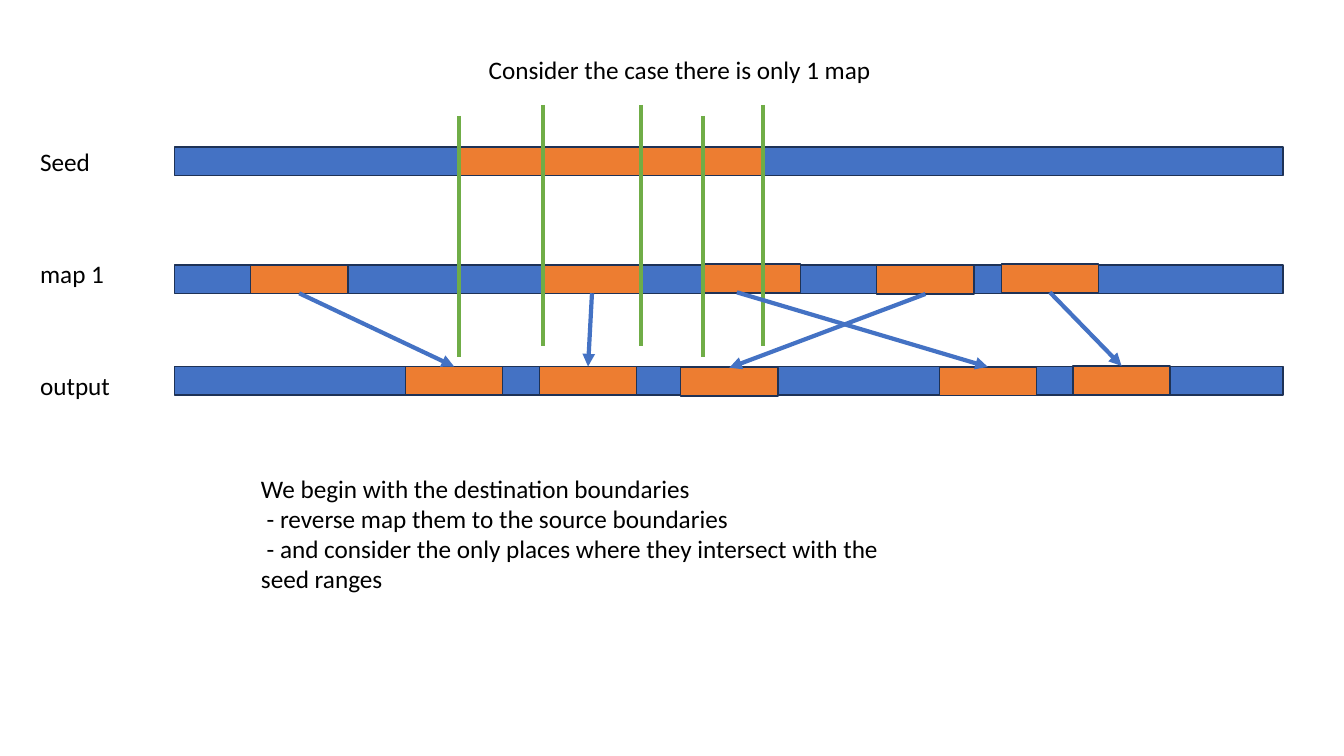
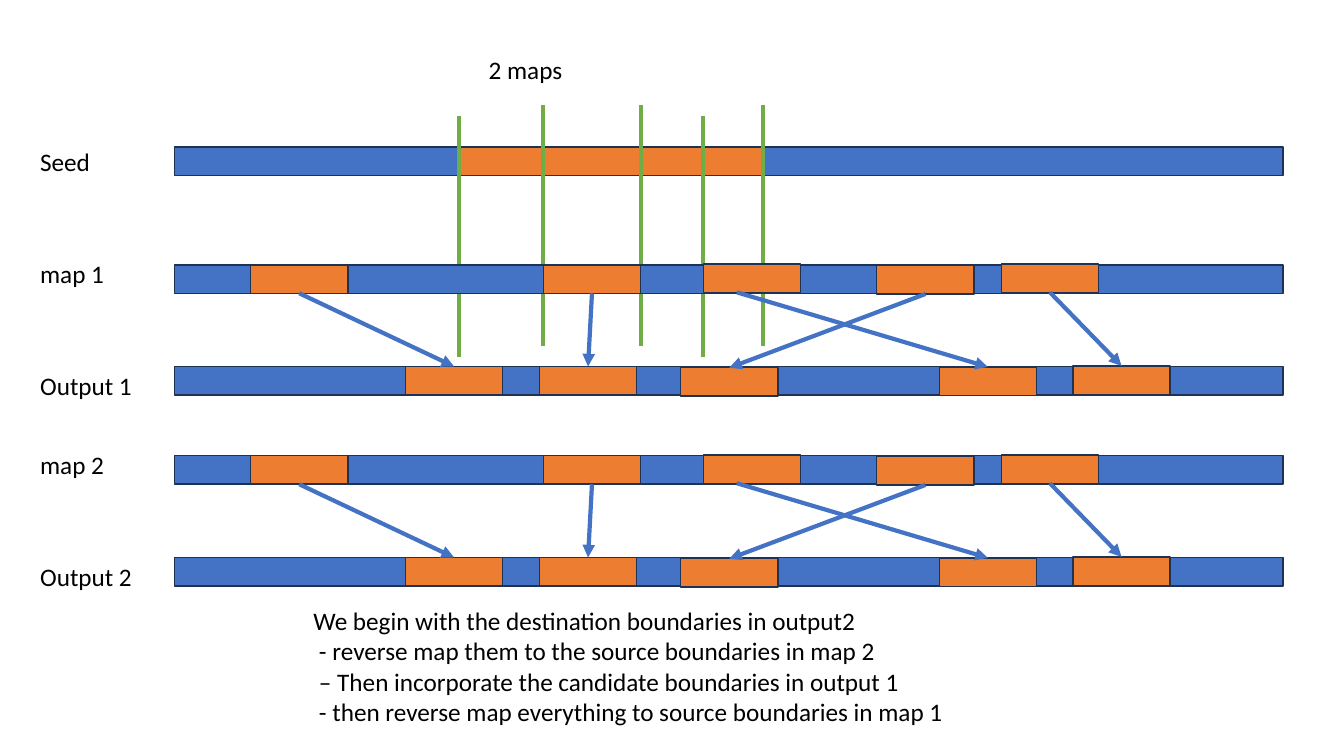
from lxml.etree import SubElement
from pptx import Presentation
from pptx.dml.color import RGBColor
from pptx.enum.shapes import MSO_CONNECTOR, MSO_SHAPE
from pptx.enum.text import MSO_AUTO_SIZE
from pptx.oxml.ns import qn
from pptx.util import Pt

BLUE, ORANGE, GREEN = "4472C4", "ED7D31", "70AD47"
OUTLINE, BLACK = "1E3256", "000000"
FONT_FORMAT = {"name": "Calibri", "size": Pt(18)}
FRAME_FORMAT = {"word_wrap": True, "auto_size": MSO_AUTO_SIZE.SHAPE_TO_FIT_TEXT}

BAR_LEFT, BAR_WIDTH, BAR_HEIGHT = 124.6, 792, 20.3
RANGE_WIDTH = 69.5
LABEL_LEFT, LABEL_WIDTH, LINE_HEIGHT = 21.6, 136, 29
SEED_TOP, SEED_LEFT, SEED_WIDTH = 105.1, 327.6, 217.4
MAP_TOP, STAGE_STEP, OUTPUT_STEP = 189.2, 136.4, 72.6

SOURCES = [(179, 0), (388.1, 0), (502.4, -0.7), (626.3, 0.5), (715.2, -0.7)]
OUTPUTS = [(289.6, 0), (385.3, 0), (486.2, 0.9), (670.9, 0.3), (766.4, -0.4)]
LINKS = [(0, 0, 0), (1, 1, 0), (2, 3, -10.8), (3, 2, 0), (4, 4, 0)]


def color(value):
    return RGBColor.from_string(value)


def add_text(page, left, top, width, lines):
    box = page.shapes.add_textbox(
        Pt(left), Pt(top), Pt(width), Pt(LINE_HEIGHT * len(lines)))
    frame = box.text_frame
    for name, value in FRAME_FORMAT.items():
        setattr(frame, name, value)
    for index, line in enumerate(lines):
        para = frame.add_paragraph() if index else frame.paragraphs[0]
        span = para.add_run()
        span.text = line
        span.font.color.rgb = color(BLACK)
        for name, value in FONT_FORMAT.items():
            setattr(span.font, name, value)


def add_block(page, left, top, width, fill):
    block = page.shapes.add_shape(
        MSO_SHAPE.RECTANGLE, Pt(left), Pt(top), Pt(width), Pt(BAR_HEIGHT))
    block.shadow.inherit = False
    block.fill.solid()
    block.fill.fore_color.rgb = color(fill)
    block.line.color.rgb = color(OUTLINE)
    block.line.width = Pt(1)


def add_line(page, start, end, stroke, arrow=False):
    line = page.shapes.add_connector(
        MSO_CONNECTOR.STRAIGHT, *(Pt(value) for value in (*start, *end)))
    line.line.color.rgb = color(stroke)
    line.line.width = Pt(3)
    properties = line._element.spPr
    if arrow:
        SubElement(properties.find(qn("a:ln")), qn("a:tailEnd"), type="triangle")
    SubElement(properties, qn("a:effectLst"))


def add_bar(page, top, ranges):
    add_block(page, BAR_LEFT, top, BAR_WIDTH, BLUE)
    for left, shift in ranges:
        add_block(page, left, top + shift, RANGE_WIDTH, ORANGE)


def add_seed(page, title):
    add_text(page, 342, 35.3, 368, [title])
    add_text(page, LABEL_LEFT, SEED_TOP - 4.3, LABEL_WIDTH, ["Seed"])
    add_block(page, BAR_LEFT, SEED_TOP, BAR_WIDTH, BLUE)
    add_block(page, SEED_LEFT, SEED_TOP, SEED_WIDTH, ORANGE)


def add_boundaries(page):
    second, third = SOURCES[1][0], SOURCES[2][0]
    high, low, length = 75, 82.8, 172
    boundaries = [
        (SEED_LEFT, low),
        (second, high),
        (second + RANGE_WIDTH, high),
        (third, low),
        (SEED_LEFT + SEED_WIDTH, high),
    ]
    for left, top in boundaries:
        add_line(page, (left, top), (left, top + length), GREEN)


def add_map(page, top, label):
    add_text(page, LABEL_LEFT, top - 8.3, LABEL_WIDTH, [label])
    add_bar(page, top, SOURCES)


def add_output(page, map_top, label):
    top = map_top + OUTPUT_STEP
    add_text(page, LABEL_LEFT, top - 1, LABEL_WIDTH, [label])
    add_bar(page, top, OUTPUTS)
    for source, output, start_shift in LINKS:
        source_left, source_shift = SOURCES[source]
        output_left, output_shift = OUTPUTS[output]
        start = (source_left + RANGE_WIDTH / 2 + start_shift,
                 map_top + BAR_HEIGHT + source_shift)
        end = (output_left + RANGE_WIDTH / 2, top + output_shift)
        add_line(page, start, end, BLUE, arrow=True)


def add_one_map_page(page):
    add_seed(page, "Consider the case there is only 1 map")
    add_map(page, MAP_TOP, "map 1")
    add_boundaries(page)
    add_output(page, MAP_TOP, "output")
    add_text(page, 179.3, 334.3, 481.7, [
        "We begin with the destination boundaries",
        " - reverse map them to the source boundaries",
        " - and consider the only places where they intersect with the seed ranges",
    ])


def add_two_maps_page(page):
    add_seed(page, "2 maps")
    add_boundaries(page)
    for stage in range(2):
        top = MAP_TOP + stage * STAGE_STEP
        add_map(page, top, f"map {stage + 1}")
        add_output(page, top, f"Output {stage + 1}")
    add_text(page, 216.7, 428.9, 481.7, [
        "We begin with the destination boundaries in output2",
        " - reverse map them to the source boundaries in map 2",
        " – Then incorporate the candidate boundaries in output 1",
        " - then reverse map everything to source boundaries in map 1",
    ])


def main():
    deck = Presentation()
    deck.slide_width, deck.slide_height = Pt(960), Pt(540)
    for build in (add_one_map_page, add_two_maps_page):
        build(deck.slides.add_slide(deck.slide_layouts[6]))
    deck.save("out.pptx")


if __name__ == "__main__":
    main()
